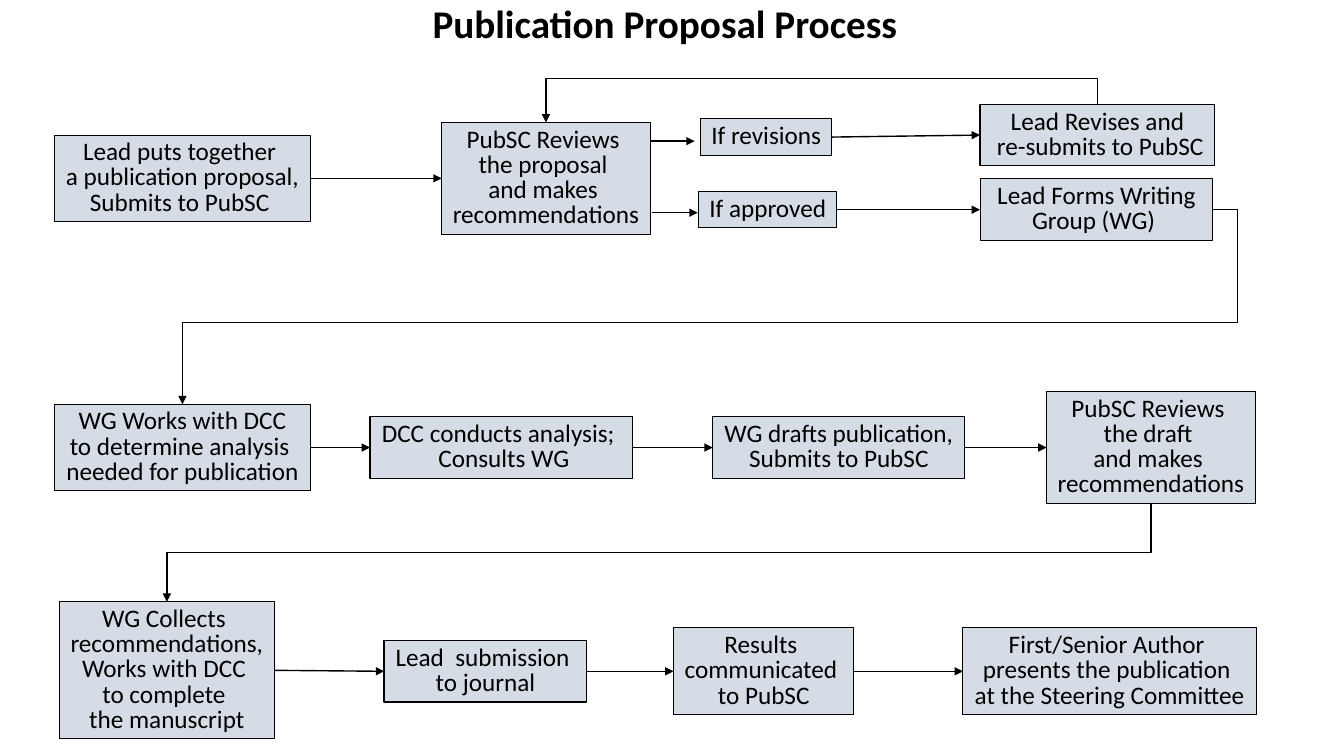
from dataclasses import dataclass

from lxml import etree
from pptx import Presentation
from pptx.dml.color import RGBColor
from pptx.enum.shapes import MSO_CONNECTOR as CONN, MSO_SHAPE as SHAPE
from pptx.enum.text import MSO_ANCHOR as ANCHOR, MSO_AUTO_SIZE as AUTO, PP_ALIGN as ALIGN
from pptx.oxml.ns import qn
from pptx.util import Inches, Pt

TOP, LEFT, BOTTOM, RIGHT = range(4)


@dataclass(frozen=True)
class Theme:
    font: str = "Calibri"
    title_size: int = 28
    box_size: int = 18
    ink: RGBColor = RGBColor(0x00, 0x00, 0x00)
    box_fill: RGBColor = RGBColor(0xD6, 0xDC, 0xE5)
    box_line: float = 0.75
    arrow_line: float = 1


class FlowSlide:
    def __init__(self, prs, theme):
        self.theme = theme
        self.slide = prs.slides.add_slide(prs.slide_layouts[5])  # Title Only

    def style_font(self, p, size, bold=False):
        p.font.name, p.font.size, p.font.bold = self.theme.font, Pt(size), bold
        p.font.color.rgb = self.theme.ink

    def title(self, text, left, top, width, height):
        sp = self.slide.shapes.title
        sp.left, sp.top, sp.width, sp.height = map(Inches, (left, top, width, height))
        tf = sp.text_frame
        tf.text = text
        tf.word_wrap, tf.auto_size = False, AUTO.SHAPE_TO_FIT_TEXT
        tf.vertical_anchor = ANCHOR.TOP
        p = tf.paragraphs[0]
        p.alignment = ALIGN.LEFT
        self.style_font(p, self.theme.title_size, bold=True)

    def box(self, left, middle, width, text, wrapped_lines=0, line=None):
        """Box centred on height `middle`, as tall as its lines need."""
        height = 0.11 + 0.25 * (wrapped_lines or len(text.split("\n")))
        sp = self.slide.shapes.add_shape(
            SHAPE.RECTANGLE, Inches(left), Inches(middle - height / 2),
            Inches(width), Inches(height))
        sp.shadow.inherit = False
        sp.fill.solid()
        sp.fill.fore_color.rgb = self.theme.box_fill
        sp.line.color.rgb = self.theme.ink
        sp.line.width = Pt(line or self.theme.box_line)
        tf = sp.text_frame
        tf.text = text
        tf.word_wrap, tf.auto_size = bool(wrapped_lines), AUTO.SHAPE_TO_FIT_TEXT
        for p in tf.paragraphs:
            p.alignment, p.line_spacing = ALIGN.CENTER, Pt(18)
            self.style_font(p, self.theme.box_size)
        return sp

    def connector(self, kind, x1=0, y1=0, x2=0, y2=0):
        c = self.slide.shapes.add_connector(kind, *map(Inches, (x1, y1, x2, y2)))
        c.line.color.rgb = self.theme.ink
        c.line.width = Pt(self.theme.arrow_line)
        etree.SubElement(c.line._get_or_add_ln(), qn("a:tailEnd"), type="triangle")
        etree.SubElement(c._element.spPr, qn("a:effectLst"))
        return c

    def arrow(self, x1, x2, y):
        self.connector(CONN.STRAIGHT, x1, y, x2, y)

    def link(self, source, target):
        c = self.connector(CONN.STRAIGHT)
        c.begin_connect(source, RIGHT)
        c.end_connect(target, LEFT)

    def elbow(self, source, side, target, adjust, turn=0, flip=""):
        """Bent arrow into the target's top; `turn` is its rotation in degrees."""
        c = self.connector(CONN.ELBOW)
        c.begin_connect(source, side)
        c.end_connect(target, TOP)
        x, y = (c.begin_x + c.end_x) // 2, (c.begin_y + c.end_y) // 2
        w, h = abs(c.begin_x - c.end_x), abs(c.begin_y - c.end_y)
        if turn:
            w, h = h, w
        c.left, c.top, c.width, c.height = x - w // 2, y - h // 2, w, h
        xfrm = c._element.spPr.find(qn("a:xfrm"))
        xfrm.set("rot", str(turn * 60000))
        for axis in "HV":
            xfrm.set(f"flip{axis}", str(int(axis in flip)))
        geom = c._element.spPr.find(qn("a:prstGeom"))
        geom.set("prst", f"bentConnector{len(adjust) + 2}")
        guides = geom.get_or_add_avLst()
        for i, share in enumerate(adjust, 1):
            etree.SubElement(guides, qn("a:gd"), name=f"adj{i}",
                             fmla=f"val {round(share * 100000)}")


def main():
    prs = Presentation()
    prs.slide_width, prs.slide_height = Inches(13.33), Inches(7.5)
    s = FlowSlide(prs, Theme())
    s.title("Publication Proposal Process", 4.19, -0.06, 4.86, 0.57)

    # Proposal row, with its two outcomes
    proposal, revise, approve = 1.77, 1.35, 2.08
    submit = s.box(0.54, proposal, 2.54,
                   "Lead puts together \na publication proposal,\nSubmits to PubSC ")
    review = s.box(4.38, proposal, 2.07,
                   "PubSC Reviews \nthe proposal \nand makes \nrecommendations")
    revisions = s.box(6.95, revise + 0.01, 1.3, "If revisions")
    approved = s.box(6.93, approve, 1.37, "If approved")
    resubmit = s.box(9.72, revise - 0.01, 2.33, "Lead Revises and\n re-submits to PubSC")
    group = s.box(9.72, approve, 2.31, "Lead Forms Writing Group (WG) ", wrapped_lines=2)

    # Analysis row
    analysis = 4.44
    plan = s.box(0.54, analysis, 2.54,
                 "WG Works with DCC\nto determine analysis \nneeded for publication")
    conduct = s.box(3.67, analysis, 2.6, "DCC conducts analysis; \n Consults WG")
    draft = s.box(7.07, analysis, 2.5, "WG drafts publication,\nSubmits to PubSC")
    draft_review = s.box(10.38, analysis, 2.07,
                         "PubSC Reviews \nthe draft \nand makes \nrecommendations")

    # Manuscript row
    manuscript = 6.66
    collect = s.box(0.59, manuscript - 0.01, 2.13,
                    "WG Collects \nrecommendations,\nWorks with DCC \n"
                    "to complete \nthe manuscript")
    journal = s.box(3.81, manuscript, 2.01, "Lead  submission \nto journal", line=1)
    results = s.box(6.68, manuscript, 1.79, "Results \ncommunicated \nto PubSC")
    present = s.box(9.55, manuscript, 2.91,
                    "First/Senior Author \npresents the publication \n"
                    "at the Steering Committee")

    # Straight arrows
    s.arrow(6.45, 6.89, 1.4)
    s.arrow(6.47, 6.92, 2.11)
    for source, target in [
        (submit, review), (revisions, resubmit), (approved, group),
        (plan, conduct), (conduct, draft), (draft, draft_review),
        (collect, journal), (journal, results), (results, present),
    ]:
        s.link(source, target)

    # Bent arrows between rows and back to the review
    s.elbow(group, RIGHT, plan, (-0.024, 0.579), flip="H")
    s.elbow(resubmit, TOP, review, (-1.419,), turn=270, flip="HV")
    s.elbow(draft_review, BOTTOM, collect, (0.5,), turn=90)

    prs.save("out.pptx")


if __name__ == "__main__":
    main()
